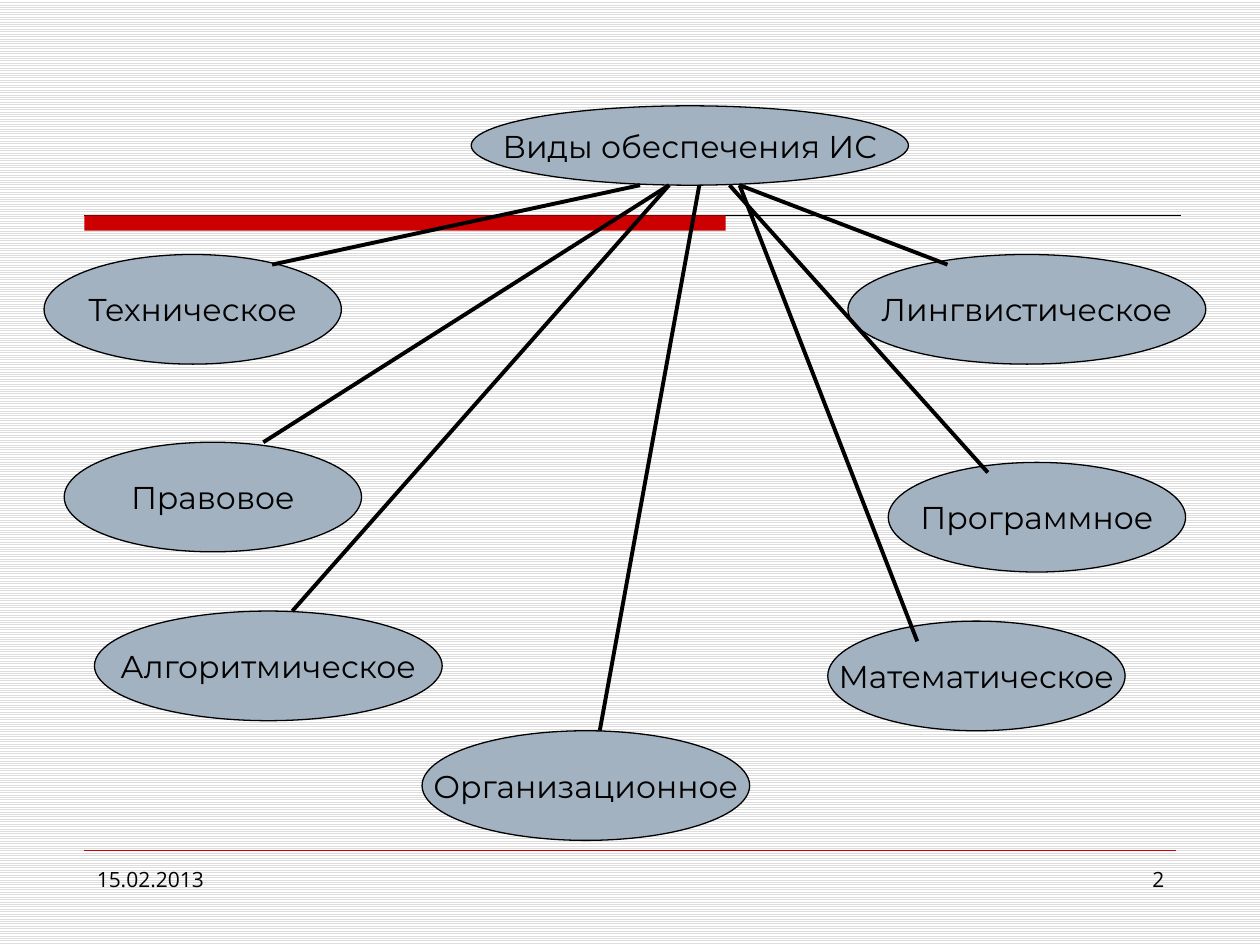
from lxml import etree
from pptx import Presentation
from pptx.dml.color import RGBColor
from pptx.enum.dml import MSO_PATTERN
from pptx.enum.shapes import MSO_CONNECTOR, MSO_SHAPE
from pptx.enum.text import MSO_ANCHOR, PP_ALIGN
from pptx.oxml.ns import qn
from pptx.util import Inches, Pt

ELLIPSE, RECTANGLE = MSO_SHAPE.OVAL, MSO_SHAPE.RECTANGLE
STRAIGHT = MSO_CONNECTOR.STRAIGHT
LEFT, CENTER, RIGHT = PP_ALIGN.LEFT, PP_ALIGN.CENTER, PP_ALIGN.RIGHT
TOP, MIDDLE = MSO_ANCHOR.TOP, MSO_ANCHOR.MIDDLE

THEME = {
    "ink": RGBColor.from_string("000000"),
    "accent": RGBColor.from_string("CC0000"),
    "node": RGBColor.from_string("A3B2C1"),
    "stripe": RGBColor.from_string("DDDDDD"),
    "paper": RGBColor.from_string("FFFFFF"),
    "node_font": {"name": "Montserrat", "size": Pt(18)},
    "footer_font": {"name": "Open Sans", "size": Pt(12)},
}

ROOT = ("Виды обеспечения ИС", 3.74, 0.84, 3.47, 0.63)
ROOT_BOTTOM = 1.47
BRANCH_HEIGHT = 0.87
# text, left, top, width, x where the link leaves the root, link end
BRANCHES = [
    ("Техническое", 0.35, 2.02, 2.36, 5.08, (2.16, 2.1)),
    ("Правовое", 0.51, 3.51, 2.36, 5.31, (2.09, 3.51)),
    ("Алгоритмическое", 0.75, 4.85, 2.76, 5.31, (2.32, 4.85)),
    ("Лингвистическое", 6.73, 2.02, 2.84, 5.87, (7.52, 2.1)),
    ("Программное", 7.05, 3.67, 2.36, 5.79, (7.84, 3.75)),
    ("Математическое", 6.57, 4.93, 2.36, 5.87, (7.28, 5.09)),
    ("Организационное", 3.35, 5.8, 2.6, 5.55, (4.76, 5.8)),
]
FOOTERS = [("15.02.2013", 0.67, LEFT), ("2", 7.17, RIGHT)]


def write(sp, text, font, align, anchor, wrap):
    """Put one formatted line of text into a shape."""
    tf = sp.text_frame
    tf.word_wrap, tf.vertical_anchor = wrap, anchor
    p = tf.paragraphs[0]
    p.alignment = align
    r = p.add_run()
    r.text = text
    for key, value in font.items():
        setattr(r.font, key, value)
    r.font.color.rgb = THEME["ink"]


def add_node(slide, text, *box):
    """Add a labelled ellipse."""
    sp = slide.shapes.add_shape(ELLIPSE, *map(Inches, box))
    sp.shadow.inherit = False
    sp.fill.solid()
    sp.fill.fore_color.rgb = THEME["node"]
    sp.line.color.rgb = THEME["ink"]
    sp.line.width = Pt(0.75)
    write(sp, text, THEME["node_font"], CENTER, MIDDLE, False)


def add_line(slide, start, end, color, width):
    """Add a straight line without a shadow."""
    line = slide.shapes.add_connector(STRAIGHT, *map(Inches, (*start, *end)))
    line.line.color.rgb = THEME[color]
    line.line.width = Pt(width)
    etree.SubElement(line._element.spPr, qn("a:effectLst"))


def add_frame(slide):
    """Add the striped background, the header bar and the rules."""
    fill = slide.background.fill
    fill.patterned()
    fill.pattern = MSO_PATTERN.LIGHT_HORIZONTAL
    fill.fore_color.rgb = THEME["stripe"]
    fill.back_color.rgb = THEME["paper"]
    add_line(slide, (0.67, 1.71), (9.37, 1.71), "ink", 0.75)
    bar = slide.shapes.add_shape(RECTANGLE, *map(Inches, (0.67, 1.71, 5.09, 0.12)))
    bar.shadow.inherit = False
    bar.fill.solid()
    bar.fill.fore_color.rgb = THEME["accent"]
    bar.line.fill.background()
    add_line(slide, (0.67, 6.75), (9.33, 6.75), "accent", 0.25)


def add_footer(slide, text, left, align):
    """Add a footer field."""
    sp = slide.shapes.add_textbox(*map(Inches, (left, 6.83, 2.17, 0.52)))
    write(sp, text, THEME["footer_font"], align, TOP, True)


prs = Presentation()
prs.slide_width, prs.slide_height = Inches(10), Inches(7.5)
slide = prs.slides.add_slide(prs.slide_layouts[6])

add_frame(slide)
add_node(slide, *ROOT)
for text, left, top, width, _, _ in BRANCHES:
    add_node(slide, text, left, top, width, BRANCH_HEIGHT)
for *_, start_x, end in BRANCHES:
    add_line(slide, (start_x, ROOT_BOTTOM), end, "ink", 2.25)
for footer in FOOTERS:
    add_footer(slide, *footer)

prs.save("out.pptx")
